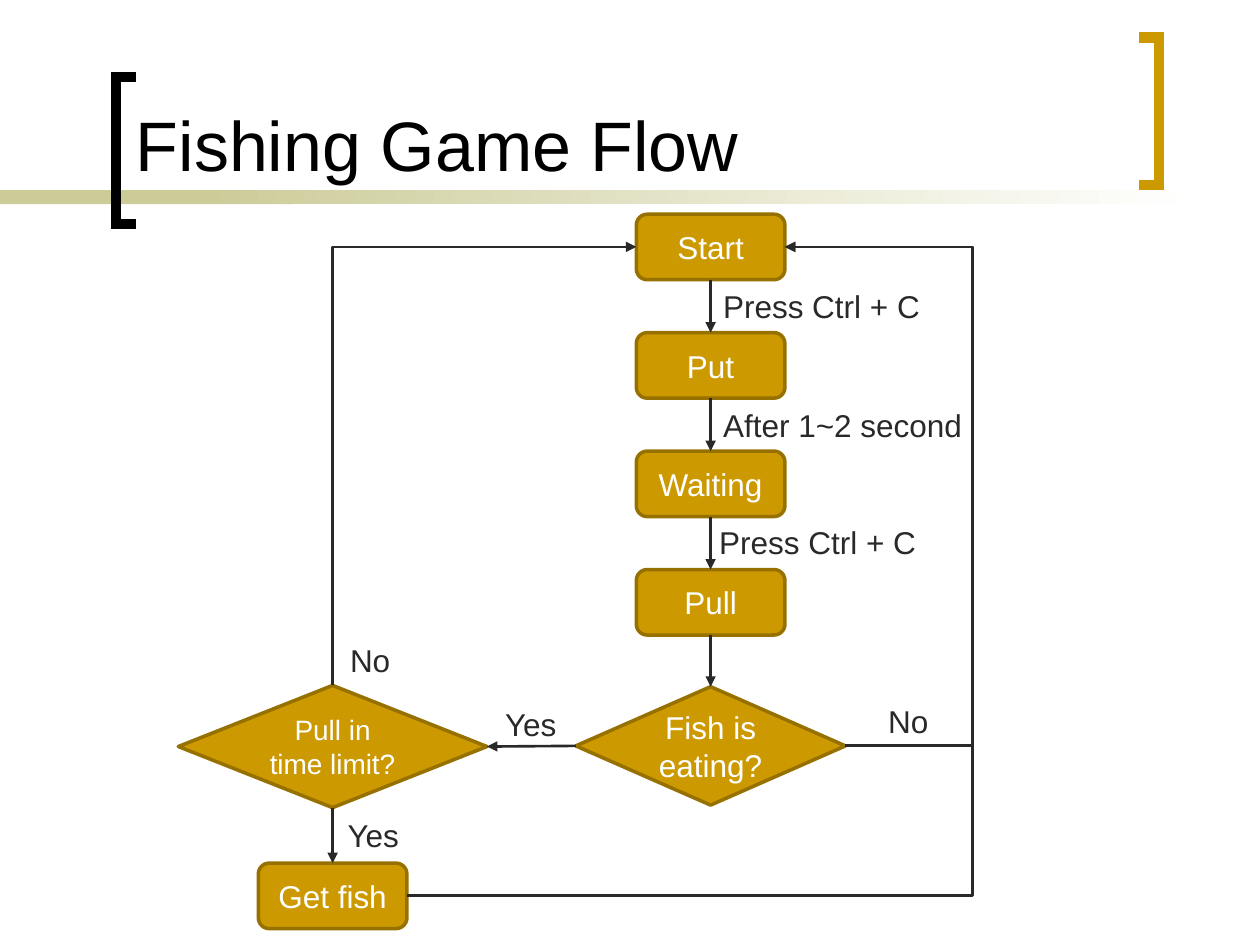
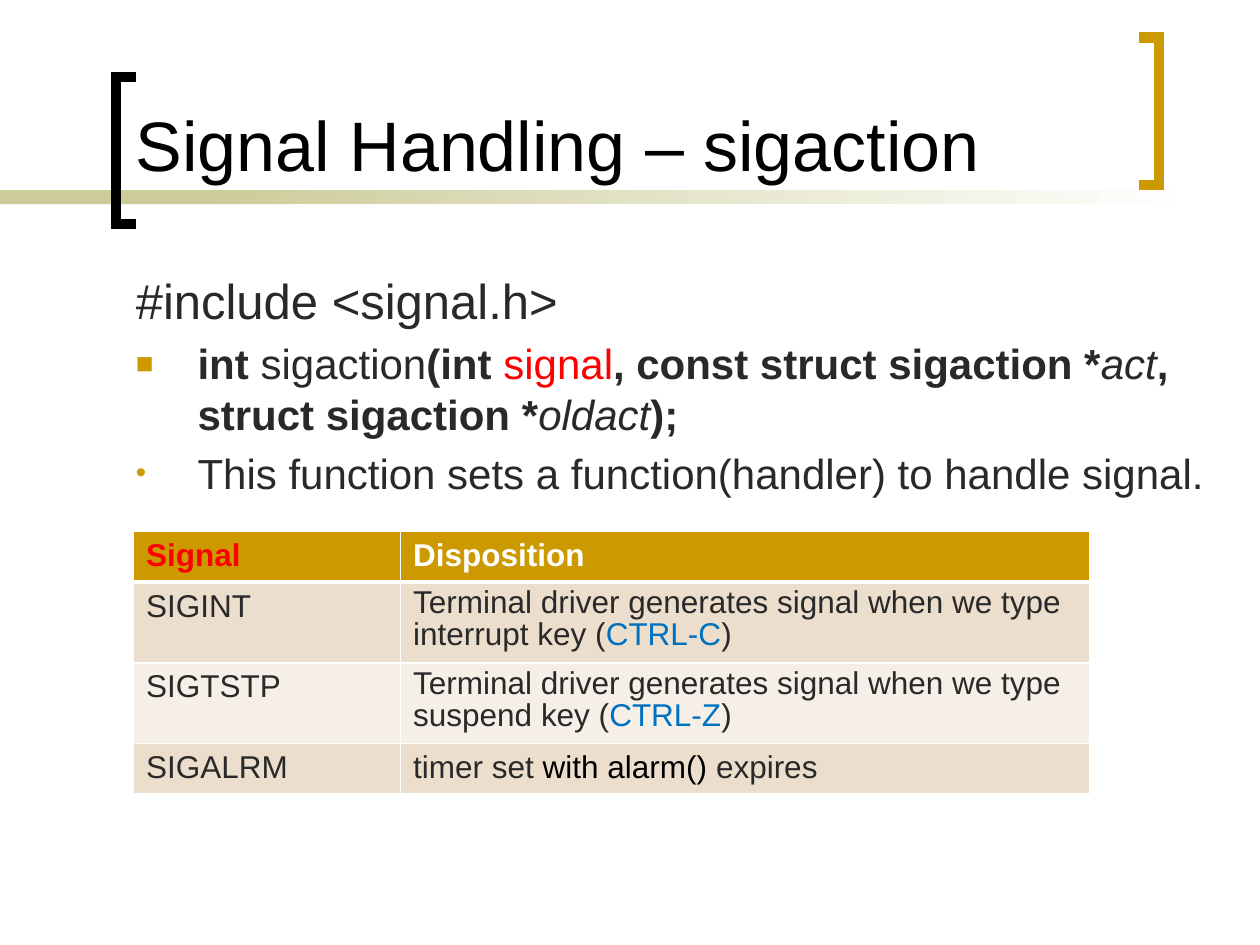
from typing import NamedTuple, Optional

from lxml.etree import SubElement as Sub
from pptx import Presentation
from pptx.dml.color import RGBColor
from pptx.enum.shapes import MSO_CONNECTOR as Wire, MSO_SHAPE as Form
from pptx.enum.text import MSO_ANCHOR as Anchor, PP_ALIGN as Align
from pptx.oxml.ns import qn
from pptx.shapes.autoshape import Shape
from pptx.slide import Slide
from pptx.util import Inches, Pt

HUES = {
    "black": "000000", "white": "FFFFFF", "text": "292929", "gold": "CC9900",
    "brown": "977100", "olive": "CCCC99", "red": "FF0000", "blue": "0070C0",
    "dark": "ECDECC", "light": "F6EFE7",
}
FACE = "Arial"
TOP, LEFT, BASE, RIGHT = range(4)


class Span(NamedTuple):
    text: str
    hue: Optional[str] = None
    bold: Optional[bool] = None
    slant: Optional[bool] = None


class Line(NamedTuple):
    spans: list[Span]
    size: int
    mark: str = ""


class Brace(NamedTuple):
    open_x: float
    back_x: float
    top: float
    hue: str


class Node(NamedTuple):
    text: str
    mid: float
    top: float
    wide: float = 1.18
    high: float = 0.52
    form: Form = Form.ROUNDED_RECTANGLE
    size: int = 18


class Link(NamedTuple):
    start: str
    out: int
    end: str
    into: int
    via: Optional[float] = None


class Label(NamedTuple):
    text: str
    left: float
    top: float
    wide: float


MAIN, SIDE, LOOP = 5.64, 2.64, 7.72
STEP = 0.94
BRACES = [Brace(1.08, 0.92, 0.61, "black"), Brace(9.04, 9.2, 0.3, "gold")]
NODES = [
    *(Node(text, MAIN, 1.7 + STEP * i)
      for i, text in enumerate(["Start", "Put", "Waiting", "Pull"])),
    Node("Fish is eating?", MAIN, 5.45, 2.14, 0.94, Form.DIAMOND),
    Node("Pull in time limit?", SIDE, 5.44, 2.45, 0.97, Form.DIAMOND, 16),
    Node("Get fish", SIDE, 6.85),
]
LINKS = [
    Link("Start", BASE, "Put", TOP),
    Link("Put", BASE, "Waiting", TOP),
    Link("Waiting", BASE, "Pull", TOP),
    Link("Pull", BASE, "Fish is eating?", TOP),
    Link("Fish is eating?", LEFT, "Pull in time limit?", RIGHT),
    Link("Pull in time limit?", BASE, "Get fish", TOP),
    Link("Pull in time limit?", TOP, "Start", LEFT, SIDE),
    Link("Fish is eating?", RIGHT, "Start", RIGHT, LOOP),
    Link("Get fish", RIGHT, "Start", RIGHT, LOOP),
]
LABELS = [
    Label("Press Ctrl + C", 5.64, 2.23, 1.78),
    Label("After 1~2 second", 5.64, 3.17, 2.12),
    Label("Press Ctrl + C", 5.61, 4.1, 1.78),
    Label("Yes", 3.91, 5.55, 0.61),
    Label("No", 6.95, 5.52, 0.52),
    Label("No", 2.68, 5.04, 0.53),
    Label("Yes", 2.66, 6.43, 0.61),
]
LINES = [
    Line([Span("#include <signal.h>")], 28),
    Line([
        Span("int ", bold=True), Span("sigaction"), Span("(int ", bold=True),
        Span("signal", "red"), Span(", const struct sigaction *", bold=True),
        Span("act", slant=True), Span(", struct sigaction *", bold=True),
        Span("oldact", slant=True), Span(");", bold=True),
    ], 24, "■"),
    Line([Span("This function sets a function(handler) to handle signal.")], 24, "•"),
]
COLS = [2.12, 5.47]
ROWS = [0.4, 0.64, 0.64, 0.4]
CELLS = [
    [[Span("Signal", "red")], [Span("Disposition", "white")]],
    *([[Span(name)],
       [Span(f"Terminal driver generates signal when we type {verb} key ("),
        Span(keys, "blue"), Span(")")]]
      for name, verb, keys in [("SIGINT", "interrupt", "CTRL-C"),
                               ("SIGTSTP", "suspend", "CTRL-Z")]),
    [[Span("SIGALRM")],
     [Span("timer set "), Span("with alarm() ", "black"), Span("expires")]],
]


def tint(hue: str) -> RGBColor:
    return RGBColor.from_string(HUES[hue])


def write(para, spans: list[Span], size: int, hue: str = "text") -> None:
    font = para.font
    font.name, font.size = FACE, Pt(size)
    font.color.rgb = tint(hue)
    for span in spans:
        run = para.add_run()
        run.text = span.text
        if span.hue:
            run.font.color.rgb = tint(span.hue)
        if span.bold:
            run.font.bold = True
        if span.slant:
            run.font.italic = True


def add_box(slide: Slide, left: float, top: float, wide: float, high: float,
            wrap: bool = True):
    box = slide.shapes.add_textbox(*map(Inches, (left, top, wide, high)))
    box.text_frame.word_wrap = wrap
    return box.text_frame


def add_band(slide: Slide, left: float, wide: float) -> Shape:
    band = slide.shapes.add_shape(
        Form.RECTANGLE, *map(Inches, (left, 1.51, wide, 0.11)))
    band.shadow.inherit = False
    band.line.fill.background()
    return band


def add_brace(slide: Slide, brace: Brace) -> None:
    low = brace.top + 1.17
    pen = slide.shapes.build_freeform(Inches(brace.open_x), Inches(brace.top))
    pen.add_line_segments(
        [(Inches(x), Inches(y)) for x, y in
         [(brace.back_x, brace.top), (brace.back_x, low), (brace.open_x, low)]],
        close=False)
    shape = pen.convert_to_shape()
    shape.shadow.inherit = False
    shape.fill.background()
    shape.line.color.rgb = tint(brace.hue)
    shape.line.width = Pt(6)
    Sub(shape.line._get_or_add_ln(), qn("a:miter"), lim="800000")


def add_page(deck, title: str) -> Slide:
    slide = deck.slides.add_slide(deck.slide_layouts[6])
    band = add_band(slide, 0, 2.33)
    band.fill.solid()
    band.fill.fore_color.rgb = tint("olive")
    fade = add_band(slide, 1.58, 7.92).fill
    fade.gradient()
    fade.gradient_angle = 0
    for stop, hue in zip(fade.gradient_stops, ["olive", "white"]):
        stop.color.rgb = tint(hue)
    for brace in BRACES:
        add_brace(slide, brace)
    frame = add_box(slide, 0.98, -0.03, 7.83, 1.55)
    frame.vertical_anchor = Anchor.BOTTOM
    write(frame.paragraphs[0], [Span(title)], 40, "black")
    return slide


def add_node(slide: Slide, node: Node) -> Shape:
    shape = slide.shapes.add_shape(node.form, *map(
        Inches, (node.mid - node.wide / 2, node.top, node.wide, node.high)))
    shape.shadow.inherit = False
    shape.fill.solid()
    shape.fill.fore_color.rgb = tint("gold")
    shape.line.color.rgb = tint("brown")
    shape.line.width = Pt(2)
    frame = shape.text_frame
    frame.word_wrap = True
    frame.vertical_anchor = Anchor.MIDDLE
    frame.paragraphs[0].alignment = Align.CENTER
    write(frame.paragraphs[0], [Span(node.text)], node.size, "white")
    return shape


def add_link(slide: Slide, link: Link, shapes: dict[str, Shape]) -> None:
    kind = Wire.STRAIGHT if link.via is None else Wire.ELBOW
    wire = slide.shapes.add_connector(kind, 0, 0, 0, 0)
    wire.begin_connect(shapes[link.start], link.out)
    wire.end_connect(shapes[link.end], link.into)
    wire.line.color.rgb = tint("text")
    wire.line.width = Pt(1.5)
    Sub(wire.line._get_or_add_ln(), qn("a:tailEnd"), type="triangle")
    props = wire._element.spPr
    Sub(props, qn("a:effectLst"))
    if link.via is not None:
        bend = (Inches(link.via) - wire.begin_x) / (wire.end_x - wire.begin_x)
        Sub(props.find(qn("a:prstGeom")).get_or_add_avLst(), qn("a:gd"),
            name="adj1", fmla=f"val {round(bend * 100000)}")


def add_flow(slide: Slide) -> None:
    shapes = {node.text: add_node(slide, node) for node in NODES}
    for link in LINKS:
        add_link(slide, link, shapes)
    for label in LABELS:
        frame = add_box(slide, label.left, label.top, label.wide, 0.4, False)
        write(frame.paragraphs[0], [Span(label.text)], 18)


def add_mark(para, mark: str) -> None:
    props = para._p.get_or_add_pPr()
    props.set("marL", str(Inches(0.49)))
    props.set("indent", str(-Inches(0.49)))
    hue = Sub(props, qn("a:buClr"))
    Sub(hue, qn("a:srgbClr"), val=HUES["gold"])
    Sub(props, qn("a:buSzPct"), val="70000")
    Sub(props, qn("a:buFont"), typeface=FACE)
    Sub(props, qn("a:buChar"), char=mark)


def add_lines(slide: Slide) -> None:
    frame = add_box(slide, 0.98, 2.1, 8.74, 5.36)
    for i, line in enumerate(LINES):
        para = frame.add_paragraph() if i else frame.paragraphs[0]
        para.space_before = Pt(line.size * 0.2)
        if line.mark:
            add_mark(para, line.mark)
        write(para, line.spans, line.size)


def add_edges(cell, head: bool) -> None:
    props = cell._tc.get_or_add_tcPr()
    for side in "LRTB":
        width = Pt(3 if head and side == "B" else 1)
        edge = Sub(props, qn(f"a:ln{side}"), w=str(width))
        Sub(Sub(edge, qn("a:solidFill")), qn("a:srgbClr"), val=HUES["white"])


def add_grid(slide: Slide) -> None:
    grid = slide.shapes.add_table(len(ROWS), len(COLS), *map(
        Inches, (1.06, 4.22, sum(COLS), sum(ROWS)))).table
    for col, wide in zip(grid.columns, COLS):
        col.width = Inches(wide)
    for r, (row, high) in enumerate(zip(grid.rows, ROWS)):
        row.height = Inches(high)
        for cell, spans in zip(row.cells, CELLS[r]):
            add_edges(cell, r == 0)
            cell.fill.solid()
            back = "gold" if r == 0 else "dark" if r % 2 else "light"
            cell.fill.fore_color.rgb = tint(back)
            para = cell.text_frame.paragraphs[0]
            if len(spans) > 1 and high > 0.4:
                para.line_spacing = 0.9
            write(para, spans, 18)
            para.font.bold = r == 0


def main() -> None:
    deck = Presentation()
    deck.slide_width, deck.slide_height = Inches(10), Inches(7.5)
    add_flow(add_page(deck, "Fishing Game Flow"))
    page = add_page(deck, "Signal Handling – sigaction")
    add_lines(page)
    add_grid(page)
    deck.save("out.pptx")


if __name__ == "__main__":
    main()
